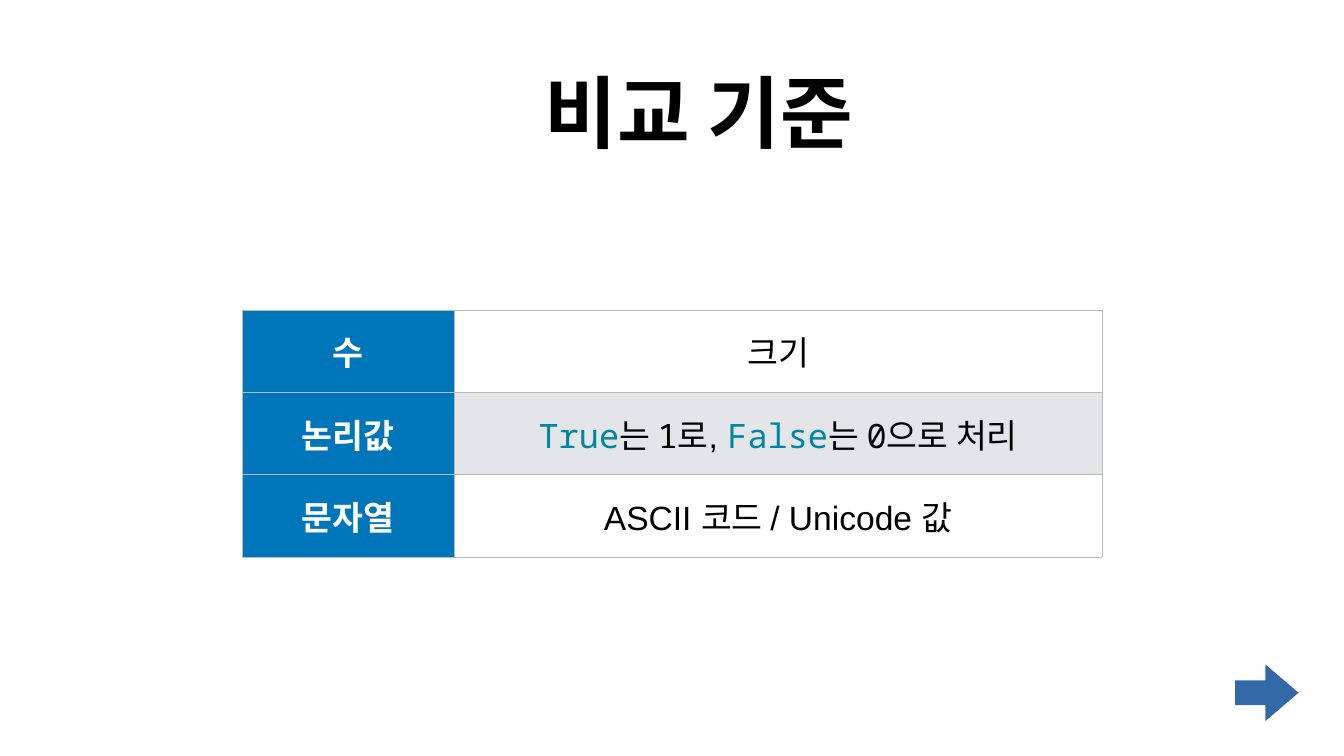
from lxml.etree import SubElement
from pptx import Presentation
from pptx.dml.color import RGBColor
from pptx.enum.shapes import MSO_SHAPE
from pptx.enum.text import MSO_ANCHOR, MSO_AUTO_SIZE, PP_ALIGN
from pptx.oxml.ns import qn
from pptx.util import Inches, Pt

WIDTH, HEIGHT = 26.67, 15
INSET = Inches(0.06)
TEXT, CODE = ("Arial", "000000"), ("Noto Sans Mono", "000000")
KEYWORD = ("Noto Sans Mono", "0086A2")

CRITERIA = [
    ("수", [("크기", TEXT)]),
    ("논리값", [("True", KEYWORD), ("는 ", TEXT), ("1", CODE), ("로, ", TEXT),
             ("False", KEYWORD), ("는 ", TEXT), ("0", CODE), ("으로 처리", TEXT)]),
    ("문자열", [("ASCII 코드 / Unicode 값", TEXT)]),
]


def rgb(hex_color):
    return RGBColor.from_string(hex_color)


def fill(obj, color):
    obj.fill.solid()
    obj.fill.fore_color.rgb = rgb(color)


class Deck:
    """Style and current slide; boxes are (left, top, width, height) shares of the slide."""
    white, header, band, border, arrow_blue = "FFFFFF", "0076BA", "E3E5E8", "B8B8B8", "3469A9"
    title_size, cell_size = 112.8, 48

    def __init__(self):
        self.prs = Presentation()
        self.prs.slide_width, self.prs.slide_height = Inches(WIDTH), Inches(HEIGHT)
        self.s = self.prs.slides.add_slide(self.prs.slide_layouts[5])

    def place(self, box):
        x, y, w, h = box
        return [Inches(n) for n in (x * WIDTH, y * HEIGHT, w * WIDTH, h * HEIGHT)]

    def add_runs(self, p, runs, size, bold):
        p.alignment = PP_ALIGN.CENTER
        p.font.size, p.font.bold = Pt(size), bold
        for text, (font, color) in runs:
            r = p.add_run()
            r.text = text
            r.font.name, r.font.color.rgb = font, rgb(color)

    def title(self, text, box):
        sp = self.s.shapes.title
        sp.left, sp.top, sp.width, sp.height = self.place(box)
        fill(sp, self.white)
        tf = sp.text_frame
        tf.auto_size, tf.vertical_anchor = MSO_AUTO_SIZE.NONE, MSO_ANCHOR.BOTTOM
        tf.margin_left = tf.margin_right = tf.margin_top = tf.margin_bottom = INSET
        self.add_runs(tf.paragraphs[0], [(text, TEXT)], self.title_size, True)

    def arrow(self, box, shaft, head):
        sp = self.s.shapes.add_shape(MSO_SHAPE.RIGHT_ARROW, *self.place(box))
        sp.adjustments[0], sp.adjustments[1] = shaft, head
        sp.shadow.inherit = False
        fill(sp, self.arrow_blue)
        sp.line.fill.background()

    def cell(self, cell, runs, color, bold=False):
        cell.vertical_anchor = MSO_ANCHOR.MIDDLE
        cell.margin_left = cell.margin_right = cell.margin_top = cell.margin_bottom = INSET
        self.add_runs(cell.text_frame.paragraphs[0], runs, self.cell_size, bold)
        tc_pr = cell._tc.get_or_add_tcPr()
        for side in ("lnL", "lnR", "lnT", "lnB"):
            ln = SubElement(tc_pr, qn(f"a:{side}"), w=str(Pt(1)))
            SubElement(SubElement(ln, qn("a:solidFill")), qn("a:srgbClr"), val=self.border)
        fill(cell, color)

    def table(self, rows, box, first_column):
        """Draw label rows; first_column is the label column's share of the table."""
        x, y, w, h = self.place(box)
        table = self.s.shapes.add_table(len(rows), 2, x, y, w, h).table
        table.first_row = table.horz_banding = False
        table.columns[0].width = int(w * first_column)
        table.columns[1].width = w - table.columns[0].width
        for i, (label, runs) in enumerate(rows):
            self.cell(table.cell(i, 0), [(label, ("Arial", self.white))], self.header, True)
            self.cell(table.cell(i, 1), runs, self.band if i % 2 else self.white)


def main():
    deck = Deck()
    deck.title("비교 기준", (0.387, 0.05, 0.266, 0.163))
    deck.arrow((0.919, 0.879, 0.0472, 0.0747), 0.435, 0.586)
    deck.table(CRITERIA, (0.18, 0.41, 0.64, 0.327), 0.247)
    deck.prs.save("out.pptx")


if __name__ == "__main__":
    main()
